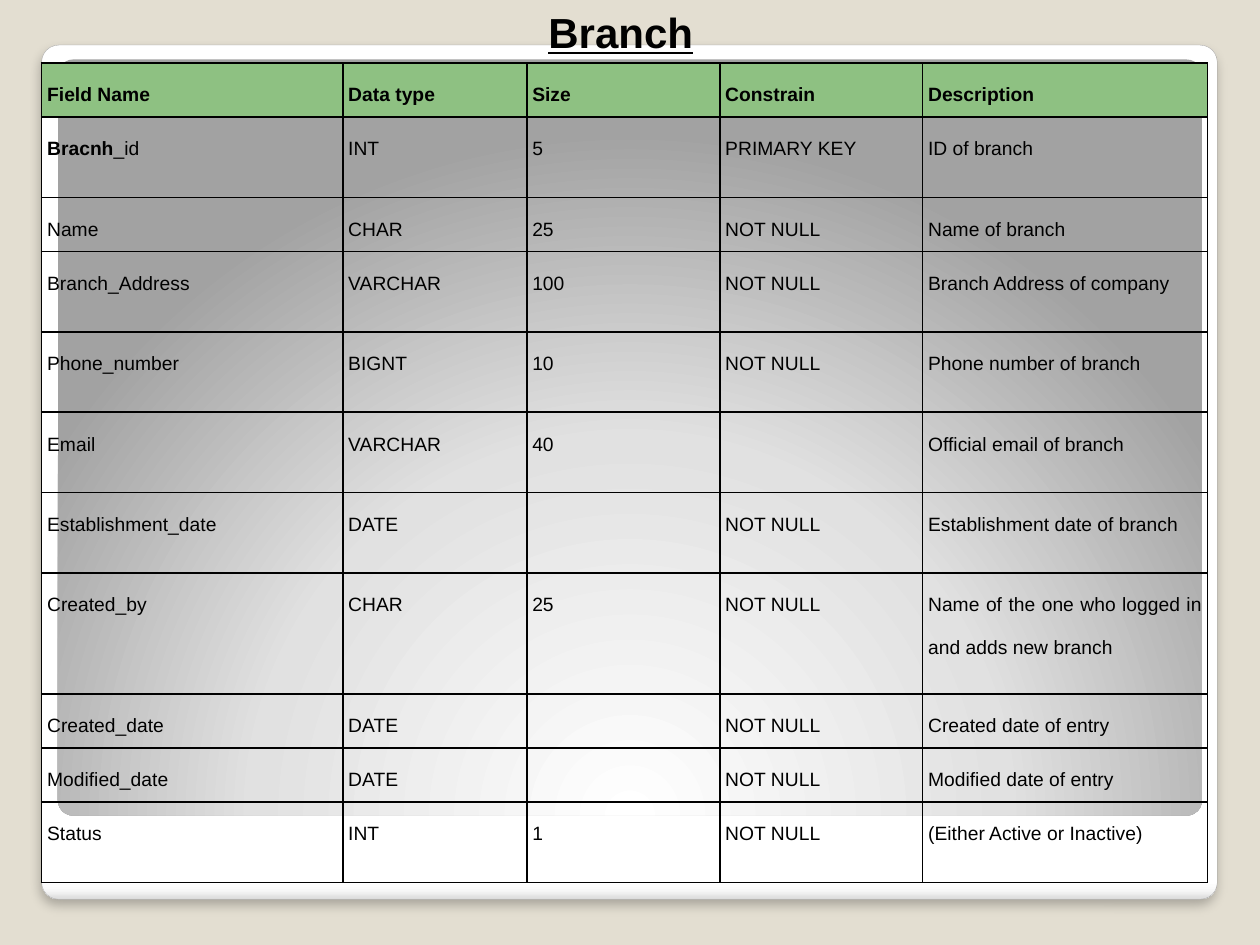
from lxml import etree
from pptx import Presentation
from pptx.dml.color import RGBColor
from pptx.enum.shapes import MSO_SHAPE
from pptx.enum.text import MSO_ANCHOR, MSO_AUTO_SIZE, PP_ALIGN
from pptx.oxml import parse_xml
from pptx.oxml.ns import nsdecls, qn
from pptx.util import Cm, Pt

BLACK = RGBColor(0x00, 0x00, 0x00)
BEIGE = RGBColor(0xE3, 0xDE, 0xD1)
GREEN = RGBColor(0x8E, 0xC1, 0x82)
GRAY = RGBColor(0xA4, 0xA4, 0xA4)
WHITE = RGBColor(0xFF, 0xFF, 0xFF)
OFF_WHITE = RGBColor(0xF7, 0xF7, 0xF7)
EDGE_GRAY = RGBColor(0xDA, 0xDA, 0xDA)
LIGHT_GRAY = RGBColor(0xE1, 0xE1, 0xE1)
DARK_GRAY = RGBColor(0xA2, 0xA2, 0xA2)

FRAME_STOPS = [(0, WHITE), (98, WHITE), (99, OFF_WHITE), (100, EDGE_GRAY)]
PANEL_STOPS = [(0, WHITE), (55, LIGHT_GRAY), (100, DARK_GRAY)]
DOWNWARD = '<a:lin ang="5400000" scaled="0"/>'
FROM_BELOW = ('<a:path path="circle">'
              '<a:fillToRect l="50000" t="175000" r="50000" b="-75000"/></a:path>')

COLUMN_WIDTHS = [6.07, 3.71, 3.89, 4.09, 5.74]
SHORT, MEDIUM, TALL = 1.09, 1.62, 2.44
HEADER = ["Field Name", "Data type", "Size", "Constrain", "Description"]
FIELDS = [
    (MEDIUM, ["Bracnh_id", "INT", "5", "PRIMARY KEY", "ID of branch"]),
    (SHORT, ["Name", "CHAR", "25", "NOT NULL", "Name of branch"]),
    (MEDIUM, ["Branch_Address", "VARCHAR", "100", "NOT NULL", "Branch Address of company"]),
    (MEDIUM, ["Phone_number", "BIGNT", "10", "NOT NULL", "Phone number of branch"]),
    (MEDIUM, ["Email", "VARCHAR", "40", "", "Official email of branch"]),
    (MEDIUM, ["Establishment_date", "DATE", "", "NOT NULL", "Establishment date of branch"]),
    (TALL, ["Created_by", "CHAR", "25", "NOT NULL",
            "Name of the one who logged in and adds new branch"]),
    (SHORT, ["Created_date", "DATE", "", "NOT NULL", "Created date of entry"]),
    (SHORT, ["Modified_date", "DATE", "", "NOT NULL", "Modified date of entry"]),
    (MEDIUM, ["Status", "INT", "1", "NOT NULL", "(Either Active or Inactive)"]),
]
BOLD_PREFIX = "Bracnh"


def add_rounded_panel(slide, left, top, width, height, stops, shading):
    """Add a rounded rectangle with a gradient of (percent, colour) stops."""
    shape = slide.shapes.add_shape(MSO_SHAPE.ROUNDED_RECTANGLE,
                                   Cm(left), Cm(top), Cm(width), Cm(height))
    shape.adjustments[0] = 0.02
    shape.shadow.inherit = False
    shape.line.fill.background()
    stop_xml = "".join(f'<a:gs pos="{percent * 1000}"><a:srgbClr val="{color}"/></a:gs>'
                       for percent, color in stops)
    gradient = parse_xml(f'<a:gradFill {nsdecls("a")} rotWithShape="1">'
                         f'<a:gsLst>{stop_xml}</a:gsLst>{shading}</a:gradFill>')
    shape.element.spPr.find(qn("a:prstGeom")).addnext(gradient)
    return shape


def add_soft_shadow(shape):
    effects = shape.element.spPr.find(qn("a:effectLst"))
    effects.append(parse_xml(
        f'<a:outerShdw {nsdecls("a")} blurRad="{Pt(6)}" dist="{Pt(4)}" dir="5400000" '
        'algn="t" rotWithShape="0"><a:srgbClr val="000000"><a:alpha val="25000"/>'
        '</a:srgbClr></a:outerShdw>'))


def set_borders(cell):
    properties = cell._tc.get_or_add_tcPr()
    for side in ("lnL", "lnR", "lnT", "lnB"):
        line = etree.SubElement(properties, qn(f"a:{side}"), w=str(Pt(1)))
        fill = etree.SubElement(line, qn("a:solidFill"))
        etree.SubElement(fill, qn("a:srgbClr"), val=str(BLACK))


def fill_cell(cell, text, is_header):
    set_borders(cell)
    if is_header:
        cell.fill.solid()
        cell.fill.fore_color.rgb = GREEN
    else:
        cell.fill.background()
    cell.margin_left = cell.margin_right = Cm(0.11)
    cell.margin_top = cell.margin_bottom = 0
    if not text:
        return
    paragraph = cell.text_frame.paragraphs[0]
    paragraph.alignment = PP_ALIGN.JUSTIFY
    paragraph.line_spacing = 2.0
    format_font(paragraph.font, 11, is_header)
    if text.startswith(BOLD_PREFIX):
        prefix = paragraph.add_run()
        prefix.text = BOLD_PREFIX
        prefix.font.bold = True
        text = text.removeprefix(BOLD_PREFIX)
    paragraph.add_run().text = text


def format_font(font, size, bold):
    font.name = "Arial"
    font.size = Pt(size)
    font.bold = bold
    font.color.rgb = BLACK


def add_field_table(slide):
    rows = [(SHORT, HEADER)] + FIELDS
    heights = [height for height, _ in rows]
    table = slide.shapes.add_table(len(rows), len(HEADER), Cm(0.84), Cm(1.27),
                                   Cm(sum(COLUMN_WIDTHS)), Cm(sum(heights))).table
    table.horz_banding = False
    table.first_row = False
    for column, width in zip(table.columns, COLUMN_WIDTHS):
        column.width = Cm(width)
    for row_index, (row, (height, texts)) in enumerate(zip(table.rows, rows)):
        row.height = Cm(height)
        for cell, text in zip(row.cells, texts):
            fill_cell(cell, text, is_header=row_index == 0)


def place_title(slide, text):
    """Format the title and bring it in front of the panels."""
    title = slide.shapes.title
    title.left, title.top, title.width, title.height = Cm(10.8), Cm(0), Cm(4.23), Cm(1.28)
    frame = title.text_frame
    frame.text = text
    frame.word_wrap = True
    frame.auto_size = MSO_AUTO_SIZE.SHAPE_TO_FIT_TEXT
    frame.vertical_anchor = MSO_ANCHOR.MIDDLE
    paragraph = frame.paragraphs[0]
    paragraph.alignment = PP_ALIGN.JUSTIFY
    format_font(paragraph.font, 24, True)
    paragraph.font.underline = True
    slide.shapes.element.append(title.element)


def main():
    presentation = Presentation()
    presentation.slide_width, presentation.slide_height = Cm(25.4), Cm(19.05)
    slide = presentation.slides.add_slide(presentation.slide_layouts[5])
    slide.background.fill.solid()
    slide.background.fill.fore_color.rgb = BEIGE

    frame = add_rounded_panel(slide, 0.84, 0.91, 23.7, 17.22, FRAME_STOPS, DOWNWARD)
    frame.line.color.rgb = GRAY
    frame.line.width = Pt(0.16)
    add_soft_shadow(frame)
    add_rounded_panel(slide, 1.17, 1.2, 23.06, 15.24, PANEL_STOPS, FROM_BELOW)
    add_field_table(slide)
    place_title(slide, "Branch")
    presentation.save("out.pptx")


if __name__ == "__main__":
    main()
